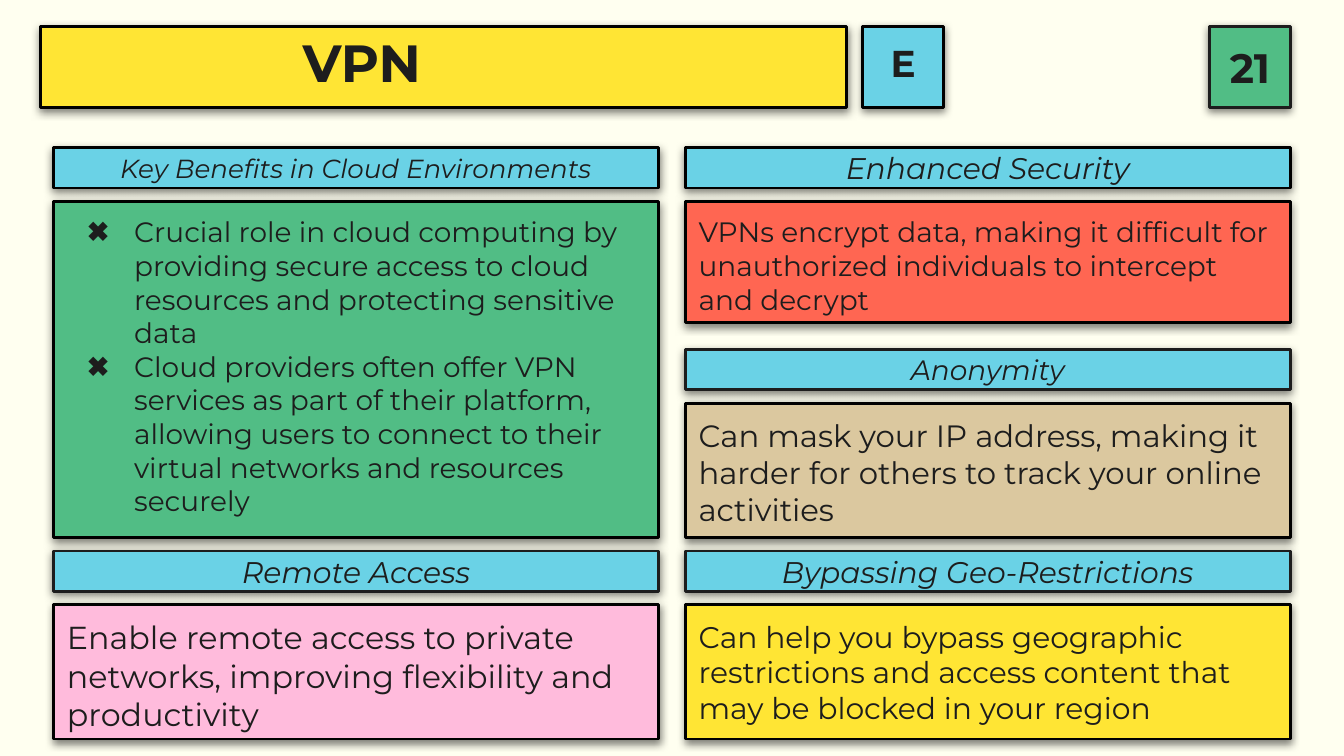
from lxml import etree
from pptx import Presentation
from pptx import util as u
from pptx.dml.color import RGBColor
from pptx.enum import shapes, text
from pptx.oxml import parse_xml
from pptx.oxml.ns import nsdecls, qn

PX = 4572
FONT = "Montserrat"
COLORS = {
    "page": "FFFFF0", "ink": "1D1D1D", "black": "000000", "green": "51BD85",
    "blue": "6AD2E6", "yellow": "FFE534", "red": "FF6652", "tan": "DBC89F",
    "pink": "FFBBDC",
}
SHADOW = (
    f'<a:effectLst {nsdecls("a")}><a:outerShdw blurRad="57150" dist="19050" dir="5400000" '
    f'algn="bl" rotWithShape="0"><a:srgbClr val="{COLORS["black"]}"><a:alpha val="50000"/>'
    '</a:srgbClr></a:outerShdw></a:effectLst>'
)


def rgb(name):
    return RGBColor.from_string(COLORS[name])


def add_card(box, fill, outline, lines, size, bold=False, italic=False,
             centered=True, spacing=1.0, right_inset=20, bullet=None):
    card = slide.shapes.add_shape(shapes.MSO_SHAPE.RECTANGLE, *[n * PX for n in box])
    card.fill.solid()
    card.fill.fore_color.rgb = rgb(fill)
    card.line.color.rgb = rgb(outline)
    card.line.width = u.Pt(1.5)
    card.shadow.inherit = False
    properties = card.element.spPr
    properties.replace(properties.find(qn("a:effectLst")), parse_xml(SHADOW))
    frame = card.text_frame
    frame.word_wrap = True
    frame.margin_left = frame.margin_top = frame.margin_bottom = 20 * PX
    frame.margin_right = right_inset * PX
    frame.vertical_anchor = text.MSO_ANCHOR.MIDDLE if centered else text.MSO_ANCHOR.TOP
    for i, line in enumerate(lines):
        paragraph = frame.add_paragraph() if i else frame.paragraphs[0]
        paragraph.alignment = text.PP_ALIGN.CENTER if centered else text.PP_ALIGN.LEFT
        paragraph.line_spacing = spacing
        if bullet:
            indent = paragraph._p.get_or_add_pPr()
            indent.set("marL", str(100 * PX))
            indent.set("indent", str(-70 * PX))
            tint = etree.SubElement(indent, qn("a:buClr"))
            etree.SubElement(tint, qn("a:srgbClr"), val=COLORS["ink"])
            etree.SubElement(indent, qn("a:buFont"), typeface=FONT)
            etree.SubElement(indent, qn("a:buChar"), char=bullet)
        run = paragraph.add_run()
        run.text = line
        run.font.name = FONT
        run.font.size = u.Pt(size)
        run.font.bold = bold
        run.font.italic = italic
        run.font.color.rgb = rgb("ink")


deck = Presentation()
deck.slide_width = 2000 * PX
deck.slide_height = 1125 * PX
slide = deck.slides.add_slide(deck.slide_layouts[6])
slide.background.fill.solid()
slide.background.fill.fore_color.rgb = rgb("page")

add_card((1800, 40, 120, 120), "green", "ink", ["21"], 22, bold=True)
add_card((60, 40, 1200, 120), "yellow", "black", ["VPN"], 28, bold=True, spacing=0.8, right_inset=263)
add_card((1284, 40, 120, 120), "blue", "black", ["E"], 20, bold=True, spacing=0.8)

LEFT, RIGHT = 80, 1020
WIDTH, HEADING_HEIGHT, HEADING_STEP = 900, 60, 80

topics = [
    (LEFT, 220, "Key Benefits in Cloud Environments", 14, "black", 500, "green", 15, "✖", [
        "Crucial role in cloud computing by providing secure access to cloud resources "
        "and protecting sensitive data",
        "Cloud providers often offer VPN services as part of their platform, allowing users "
        "to connect to their virtual networks and resources securely"]),
    (LEFT, 820, "Remote Access", 16, "ink", 200, "pink", 17, None, [
        "Enable remote access to private networks, improving flexibility and productivity"]),
    (RIGHT, 220, "Enhanced Security", 16, "black", 180, "red", 15, None, [
        "VPNs encrypt data, making it difficult for unauthorized individuals to intercept "
        "and decrypt"]),
    (RIGHT, 520, "Anonymity", 15, "ink", 200, "tan", 16.5, None, [
        "Can mask your IP address, making it harder for others to track your online activities"]),
    (RIGHT, 820, "Bypassing Geo-Restrictions", 16, "ink", 200, "yellow", 16, None, [
        "Can help you bypass geographic restrictions and access content that may be blocked "
        "in your region"]),
]

for left, top, heading, heading_size, outline, height, fill, size, bullet, lines in topics:
    add_card((left, top, WIDTH, HEADING_HEIGHT), "blue", outline, [heading], heading_size, italic=True)
    add_card((left, top + HEADING_STEP, WIDTH, height), fill, "black", lines, size,
             centered=False, bullet=bullet)

deck.save("out.pptx")
